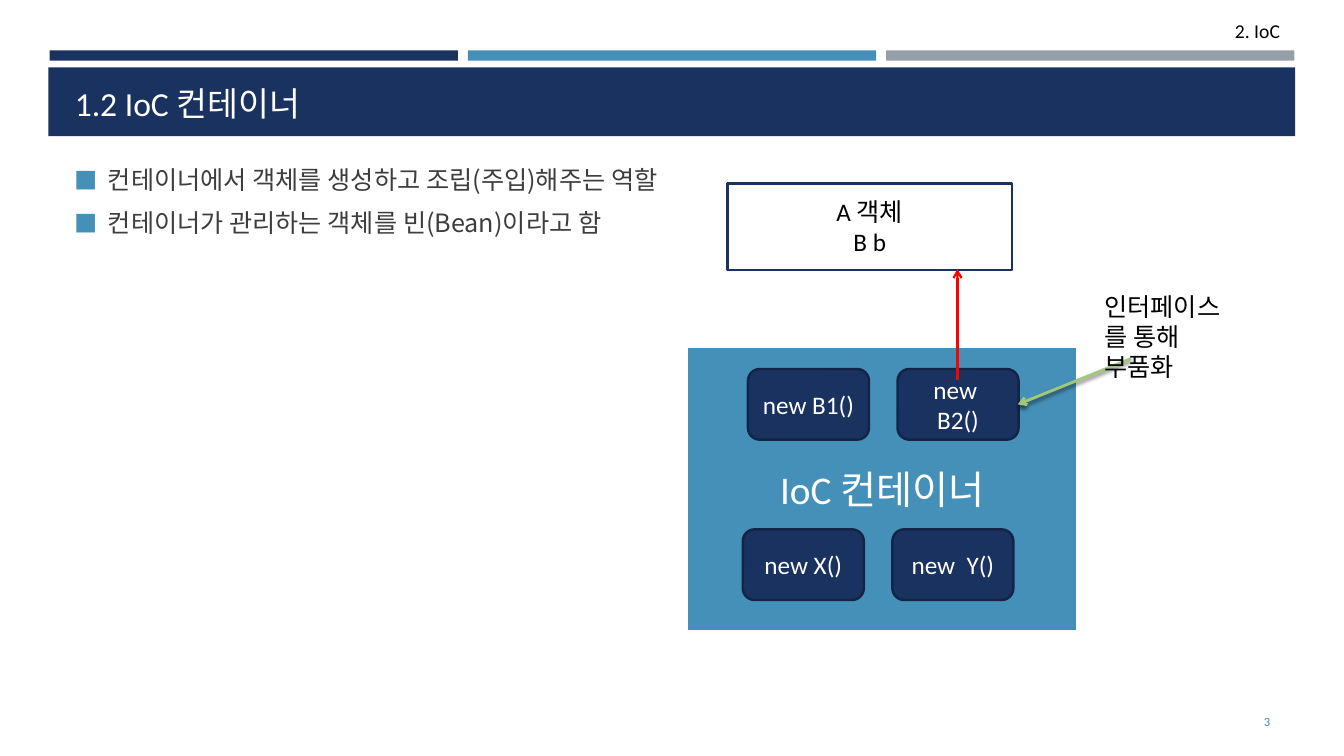
from dataclasses import dataclass

from lxml import etree
from pptx import Presentation
from pptx import util as u
from pptx.dml.color import RGBColor
from pptx.enum import shapes, text
from pptx.oxml import ns

NAVY, BLUE, GREY = "1A3260", "4590B8", "969FA7"
WHITE, BLACK, DARK = "FFFFFF", "000000", "3D3D3D"
LATIN, KOREAN = "Calibri", "Noto Sans CJK KR"
RECT = shapes.MSO_SHAPE.RECTANGLE
ROUNDED = shapes.MSO_SHAPE.ROUNDED_RECTANGLE
LEFT, CENTER, RIGHT = text.PP_ALIGN.LEFT, text.PP_ALIGN.CENTER, text.PP_ALIGN.RIGHT
TOP, MIDDLE, BOTTOM = text.MSO_ANCHOR.TOP, text.MSO_ANCHOR.MIDDLE, text.MSO_ANCHOR.BOTTOM


@dataclass
class Area:
    """Position and size in centimetres."""
    left: float
    top: float
    width: float
    height: float

    def lengths(self):
        return [u.Cm(v) for v in (self.left, self.top, self.width, self.height)]


@dataclass
class Style:
    size: float
    color: str = BLACK
    align: text.PP_ALIGN = LEFT
    anchor: text.MSO_ANCHOR = TOP
    font: str = LATIN


@dataclass
class Block:
    area: Area
    fill: str
    lines: tuple = ()
    style: Style | None = None
    border: str | None = None
    border_width: float = 1.75
    kind: shapes.MSO_SHAPE = RECT


@dataclass
class Arrow:
    start: tuple
    end: tuple
    color: str
    width: float
    shadow: bool = False


def rgb(value: str) -> RGBColor:
    return RGBColor.from_string(value)


def write(box, lines: tuple, style: Style) -> list:
    """Fill a text frame with one paragraph per line."""
    frame = box.text_frame
    frame.word_wrap = True
    frame.auto_size = text.MSO_AUTO_SIZE.NONE
    frame.vertical_anchor = style.anchor
    for number, line in enumerate(lines):
        para = frame.paragraphs[0] if number == 0 else frame.add_paragraph()
        para.alignment = style.align
        span = para.add_run()
        span.text = line
        span.font.size = u.Pt(style.size)
        span.font.name = style.font
        span.font.color.rgb = rgb(style.color)
        east_asian = etree.SubElement(span.font._element, ns.qn("a:ea"))
        east_asian.set("typeface", style.font)
    return list(frame.paragraphs)


def add_text(page, area: Area, lines: tuple, style: Style) -> list:
    return write(page.shapes.add_textbox(*area.lengths()), lines, style)


def add_block(page, block: Block):
    box = page.shapes.add_shape(block.kind, *block.area.lengths())
    box.shadow.inherit = False
    box.fill.solid()
    box.fill.fore_color.rgb = rgb(block.fill)
    if block.border:
        box.line.color.rgb = rgb(block.border)
        box.line.width = u.Pt(block.border_width)
    else:
        box.line.fill.background()
    if block.lines:
        write(box, block.lines, block.style)
    return box


def add_arrow(page, arrow: Arrow) -> None:
    ends = [u.Cm(v) for v in arrow.start + arrow.end]
    line = page.shapes.add_connector(shapes.MSO_CONNECTOR.STRAIGHT, *ends)
    line.line.color.rgb = rgb(arrow.color)
    line.line.width = u.Pt(arrow.width)
    head = etree.SubElement(line.line._get_or_add_ln(), ns.qn("a:tailEnd"))
    head.set("type", "arrow")
    effects = etree.SubElement(line._element.spPr, ns.qn("a:effectLst"))
    if arrow.shadow:
        shadow = etree.SubElement(effects, ns.qn("a:outerShdw"), blurRad=str(u.Pt(3)),
                                  dist=str(u.Pt(2)), dir="5400000", rotWithShape="0")
        color = etree.SubElement(shadow, ns.qn("a:srgbClr"), val=BLACK)
        etree.SubElement(color, ns.qn("a:alpha"), val="55000")


def add_bullet(para) -> None:
    para.space_before, para.space_after = u.Pt(3.6), u.Pt(6)
    para.line_spacing = u.Pt(21)
    props = para._p.get_or_add_pPr()
    props.set("marL", str(u.Cm(0.84)))
    props.set("indent", str(-u.Cm(0.84)))
    color = etree.SubElement(props, ns.qn("a:buClr"))
    etree.SubElement(color, ns.qn("a:srgbClr"), val=BLUE)
    etree.SubElement(props, ns.qn("a:buSzPct"), val="92000")
    etree.SubElement(props, ns.qn("a:buFont"), typeface=KOREAN)
    etree.SubElement(props, ns.qn("a:buChar"), char="■")


def add_header(page) -> None:
    for column, color in enumerate((NAVY, BLUE, GREY)):
        add_block(page, Block(Area(1.25 + column * 10.54, 1.27, 10.29, 0.26), color))
    add_text(page, Area(22.25, 0.36, 10.26, 0.86), ("2. IoC",), Style(14, align=RIGHT))
    band = add_block(page, Block(Area(1.22, 1.7, 31.42, 1.73), NAVY))

    # The title sits on top of the band
    title = page.shapes.title
    title.left, title.top, title.width, title.height = Area(1.63, 1.83, 30.63, 1.4).lengths()
    write(title, ("1.2 IoC 컨테이너",), Style(24, WHITE, anchor=BOTTOM))
    band._element.addnext(title._element)


def add_body(page) -> None:
    points = ("컨테이너에서 객체를 생성하고 조립(주입)해주는 역할",
              "컨테이너가 관리하는 객체를 빈(Bean)이라고 함")
    for para in add_text(page, Area(1.63, 4.04, 30.63, 13.41), points,
                         Style(18, DARK, font=KOREAN)):
        add_bullet(para)
    add_text(page, Area(29.34, 17.68, 2.92, 1.02), ("3",), Style(9, BLUE, RIGHT, MIDDLE))


def add_diagram(page) -> None:
    # Client object and container
    add_block(page, Block(Area(18.34, 4.62, 7.16, 2.18), WHITE, ("A 객체", "B b"),
                          Style(18, BLACK, CENTER, MIDDLE), NAVY))
    add_block(page, Block(Area(17.3, 8.74, 9.86, 7.16), BLUE, ("IoC 컨테이너",),
                          Style(28, WHITE, CENTER, MIDDLE), WHITE, 2))

    # Beans in two rows
    rows = ((18.85, 9.3, ("new B1()", "new  B2()")),
            (18.72, 13.34, ("new X()", "new  Y()")))
    for left, top, beans in rows:
        for column, bean in enumerate(beans):
            add_block(page, Block(Area(left + column * 3.77, top, 3.05, 1.78), NAVY, (bean,),
                                  Style(18, WHITE, CENTER, MIDDLE), "132547", kind=ROUNDED))

    # Injection arrow, interface arrow and its label
    add_arrow(page, Arrow((24.13, 9.58), (24.13, 6.78), "FF0000", 1.5))
    add_arrow(page, Arrow((28.5, 9.04), (25.65, 10.19), "A2C777", 2, shadow=True))
    add_text(page, Area(27.58, 7.21, 3.78, 1.8), ("인터페이스를 통해 부품화",), Style(18))


def main() -> None:
    deck = Presentation()
    deck.slide_width, deck.slide_height = u.Cm(33.87), u.Cm(19.05)
    page = deck.slides.add_slide(deck.slide_layouts.get_by_name("Title Only"))
    add_header(page)
    add_body(page)
    add_diagram(page)
    deck.save("out.pptx")


if __name__ == "__main__":
    main()
